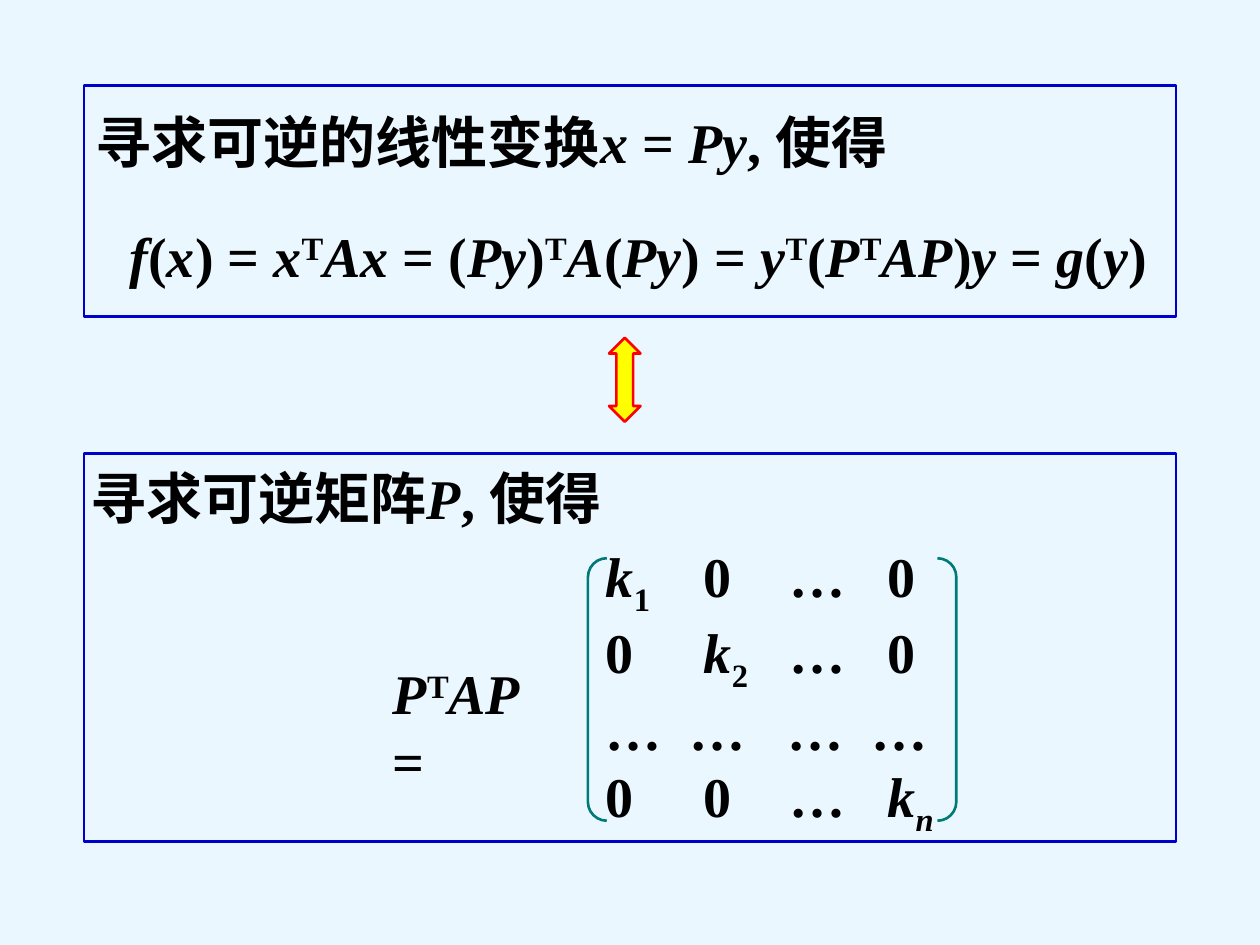
import dataclasses

import pptx
import pptx.dml.color
import pptx.enum.shapes
import pptx.enum.text
import pptx.oxml
import pptx.oxml.ns
import pptx.util

Pt = pptx.util.Pt
Shape = pptx.enum.shapes.MSO_SHAPE
Anchor = pptx.enum.text.MSO_ANCHOR


@dataclasses.dataclass(frozen=True)
class Theme:
    back: str = "EBF7FF"
    ink: str = "000000"
    frame: str = "0000CC"
    arrow: str = "FFFF00"
    edge: str = "FF0000"
    brace: str = "007A77"
    font: str = "Times New Roman"
    size: float = 32
    line: float = 1.5


THEME = Theme()

# Run styles: upright, italic, superscript, subscript, italic subscript
UP, IT, SUP, SUB, ISUB = (
    (False, 0), (True, 0), (False, 30), (False, -25), (True, -25))

GOAL = [("寻求可逆的线性变换", UP), ("x ", IT), ("= ", UP), ("Py", IT),
        (", 使得", UP)]
FORM = [("f", IT), ("(", UP), ("x", IT), (") = ", UP), ("x", IT), ("T", SUP),
        ("Ax", IT), (" = (", UP), ("Py", IT), (")", UP), ("T", SUP),
        ("A", IT), ("(", UP), ("Py", IT), (") = ", UP), ("y", IT),
        ("T", SUP), ("(", UP), ("P", IT), ("T", SUP), ("AP", IT), (")", UP),
        ("y", IT), (" = ", UP), ("g", IT), ("(", UP), ("y", IT), (")", UP)]
SEEK = [("寻求可逆矩阵", UP), ("P", IT), (", 使得", UP)]
LEFT = [("P", IT), ("T", SUP), ("AP", IT), (" =", UP)]

WIDE, DOTS = (56, 105, 161), (48, 104, 152)
ROWS = [
    (WIDE, [("k", IT), ("1", SUB), ("\t0\t…\t0", UP)]),
    (WIDE, [("0\t", UP), ("k", IT), ("2", SUB), ("\t…\t0", UP)]),
    (DOTS, [("…\t…\t…\t…", UP)]),
    (WIDE, [("0\t0\t…\t", UP), ("k", IT), ("n", ISUB)]),
]


def color(code):
    return pptx.dml.color.RGBColor.from_string(code)


def write(para, runs):
    for text, (slant, shift) in runs:
        run = para.add_run()
        run.text = text
        font = run.font
        font.name, font.size = THEME.font, Pt(THEME.size)
        font.bold, font.italic = True, slant
        font.color.rgb = color(THEME.ink)
        if shift:
            font._element.set("baseline", str(shift * 1000))


def set_tabs(para, stops):
    tabs = pptx.oxml.parse_xml(
        "<a:tabLst %s/>" % pptx.oxml.ns.nsdecls("a"))
    for stop in stops:
        tab = tabs.makeelement(pptx.oxml.ns.qn("a:tab"),
                               {"pos": str(Pt(stop)), "algn": "l"})
        tabs.append(tab)
    para._p.get_or_add_pPr().append(tabs)


def add_text(slide, box, runs, space=1.0):
    frame = slide.shapes.add_textbox(*map(Pt, box)).text_frame
    frame.word_wrap = False
    para = frame.paragraphs[0]
    para.line_spacing = space
    write(para, runs)


def add_form(slide, kind, box, line, fill=None, adjust=()):
    form = slide.shapes.add_shape(kind, *map(Pt, box))
    form.shadow.inherit = False
    form.line.color.rgb = color(line)
    form.line.width = Pt(THEME.line)
    if fill:
        form.fill.solid()
        form.fill.fore_color.rgb = color(fill)
    else:
        form.fill.background()
    for index, value in enumerate(adjust):
        form.adjustments[index] = value
    return form


def add_matrix(slide, box):
    form = add_form(slide, Shape.DOUBLE_BRACKET, box, THEME.brace,
                    adjust=[0.072])
    frame = form.text_frame
    frame.word_wrap = True
    frame.margin_right = 0
    frame.vertical_anchor = Anchor.MIDDLE
    for index, (stops, runs) in enumerate(ROWS):
        para = frame.add_paragraph() if index else frame.paragraphs[0]
        para.alignment = pptx.enum.text.PP_ALIGN.LEFT
        set_tabs(para, stops)
        write(para, runs)


def main():
    deck = pptx.Presentation()
    deck.slide_width, deck.slide_height = Pt(720), Pt(540)
    slide = deck.slides.add_slide(deck.slide_layouts[6])
    slide.background.fill.solid()
    slide.background.fill.fore_color.rgb = color(THEME.back)

    add_text(slide, (67, 115.2, 603.4, 53.3), FORM, 1.2)
    add_text(slide, (44.6, 253.4, 321.8, 53.3), SEEK, 1.2)
    add_text(slide, (47.5, 57.6, 489.6, 46), GOAL)
    add_form(slide, Shape.RECTANGLE, (48, 49, 624, 132), THEME.frame)
    add_form(slide, Shape.UP_DOWN_ARROW, (348, 193, 18, 48), THEME.edge,
             THEME.arrow, [0.5, 0.531])
    add_text(slide, (217.4, 373, 113, 46), LEFT)
    add_matrix(slide, (336, 319, 210.5, 150))
    add_form(slide, Shape.RECTANGLE, (48, 259, 624, 222), THEME.frame)

    deck.save("out.pptx")


if __name__ == "__main__":
    main()
